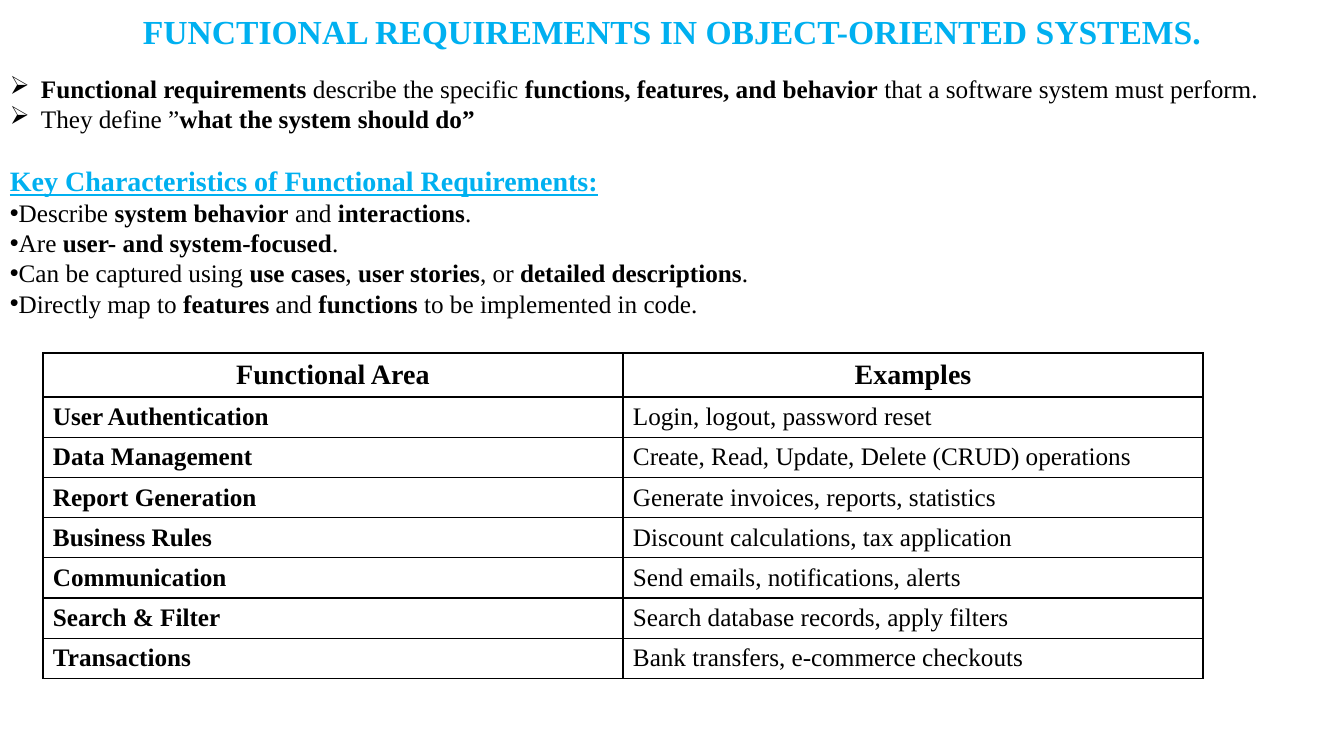
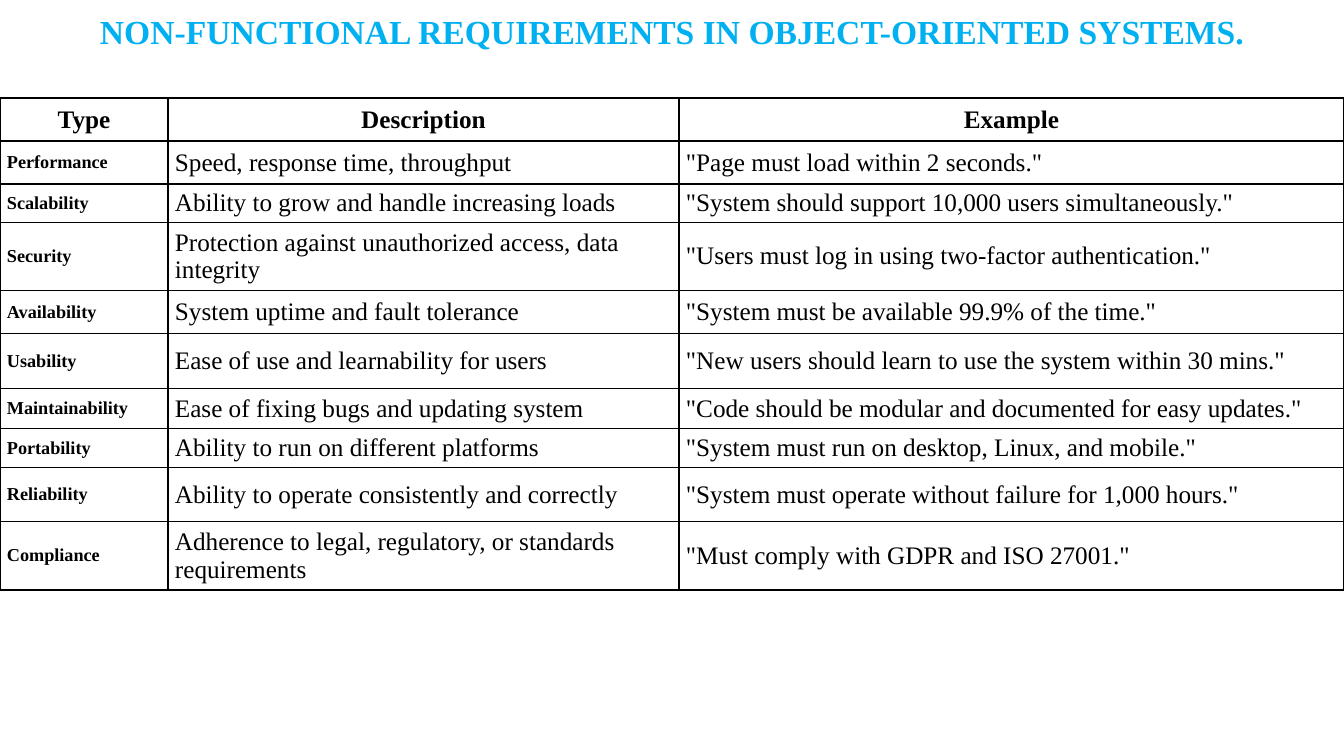
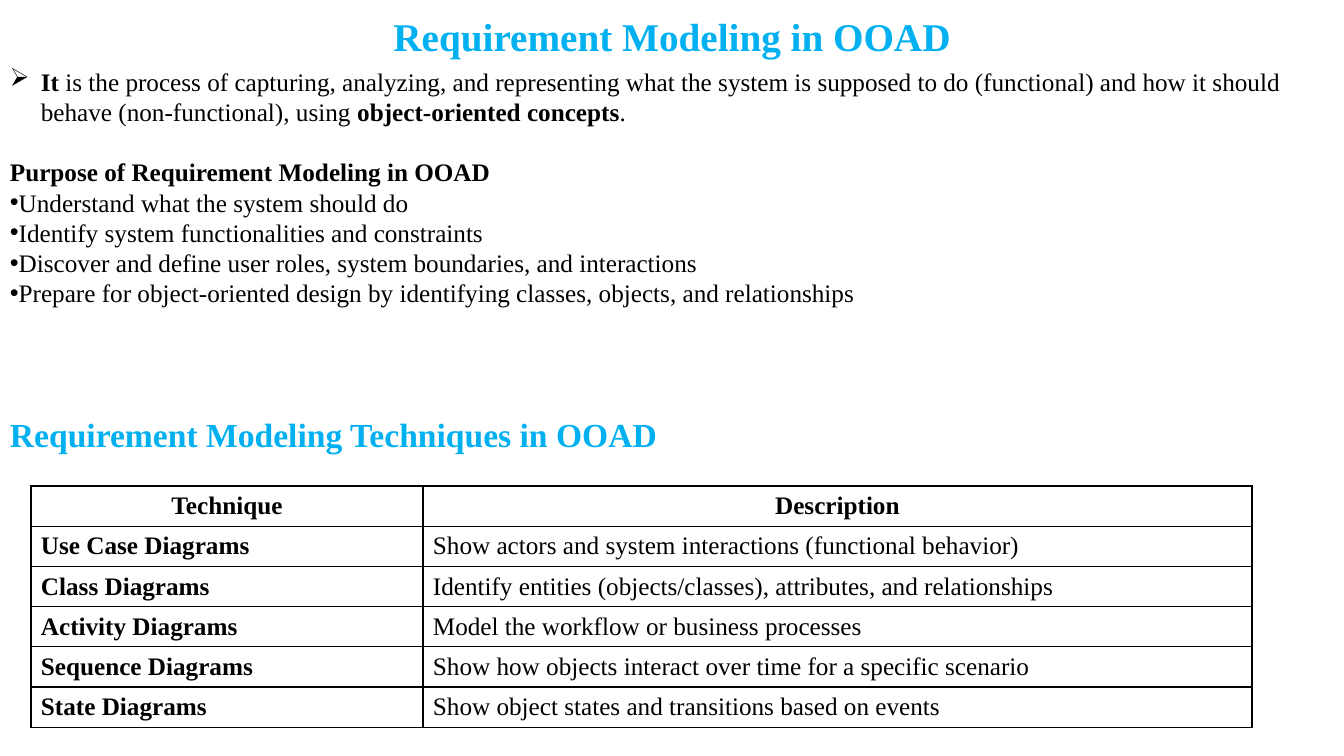
from dataclasses import dataclass
from typing import Any

from lxml import etree
from pptx import Presentation
from pptx.dml.color import RGBColor
from pptx.enum.text import MSO_ANCHOR, PP_ALIGN
from pptx.oxml.ns import qn
from pptx.util import Emu, Pt

MIDDLE = MSO_ANCHOR.MIDDLE
CENTER = PP_ALIGN.CENTER
LEFT = PP_ALIGN.LEFT

SLIDE_WIDTH, SLIDE_HEIGHT = 1344, 756
EMU_PER_PX = 12192000 / SLIDE_WIDTH
FONT = "Times New Roman"
ACCENT, INK = "00B0F0", "000000"
ARROW, DOT = "➢", "•"
ARROW_INDENT = 31
BLANK_LINE = 21.6


@dataclass(frozen=True)
class Line:
    text: str
    size: int = 18
    color: str = INK
    bullet: str = ""
    underline: bool = False
    align: Any = LEFT
    spacing: float | None = None
    before: float = 0


@dataclass(frozen=True)
class Grid:
    left: int
    top: int
    columns: list[int]
    heights: list[int]
    rows: list[list[str]]
    header_size: int = 18
    label_size: int = 18
    margin_x: int = 10
    margin_y: int = 5


def px(length: int) -> Emu:
    return Emu(round(length * EMU_PER_PX))


def rgb(color: str) -> RGBColor:
    return RGBColor.from_string(color)


def set_all(target: Any, values: dict[str, Any]) -> None:
    for key, value in values.items():
        setattr(target, key, value)


def add_bullet(paragraph: Any, mark: str) -> None:
    properties = paragraph._p.get_or_add_pPr()
    if mark == ARROW:
        properties.set("marL", str(px(ARROW_INDENT)))
        properties.set("indent", str(-px(ARROW_INDENT)))
    font = "Wingdings" if mark == ARROW else "Arial"
    etree.SubElement(properties, qn("a:buFont"), typeface=font)
    char = "Ø" if mark == ARROW else mark
    etree.SubElement(properties, qn("a:buChar"), char=char)


def write_line(paragraph: Any, line: Line) -> None:
    paragraph.alignment = line.align
    if line.spacing:
        paragraph.line_spacing = line.spacing
    if line.before:
        paragraph.space_before = Pt(line.before)
    if line.bullet:
        add_bullet(paragraph, line.bullet)
    for index, part in enumerate(line.text.split("**")):
        if part:
            run = paragraph.add_run()
            run.text = part
            set_all(run.font, {"name": FONT, "size": Pt(line.size), "bold": index % 2 == 1,
                               "underline": line.underline})
            run.font.color.rgb = rgb(line.color)


def add_text(slide: Any, left: int, top: int, width: int, height: int, lines: list[Line]) -> None:
    frame = slide.shapes.add_textbox(px(left), px(top), px(width), px(height)).text_frame
    frame.word_wrap = True
    for index, line in enumerate(lines):
        write_line(frame.add_paragraph() if index else frame.paragraphs[0], line)


def add_title(slide: Any, text: str, size: int, height: int) -> None:
    title = Line(f"**{text}**", size, ACCENT, align=CENTER, spacing=1.15)
    add_text(slide, 0, 0, SLIDE_WIDTH, height, [title])


def add_borders(cell: Any) -> None:
    properties = cell._tc.get_or_add_tcPr()
    for position, side in enumerate(("a:lnL", "a:lnR", "a:lnT", "a:lnB")):
        border = etree.Element(qn(side), w=str(Pt(1)))
        fill = etree.SubElement(border, qn("a:solidFill"))
        etree.SubElement(fill, qn("a:srgbClr"), val=INK)
        properties.insert(position, border)


def add_grid(slide: Any, grid: Grid) -> None:
    table = slide.shapes.add_table(
        len(grid.rows), len(grid.columns), px(grid.left), px(grid.top),
        px(sum(grid.columns)), px(sum(grid.heights))).table
    set_all(table, {"first_row": False, "horz_banding": False})
    for column, width in zip(table.columns, grid.columns):
        column.width = px(width)
    for row, height in zip(table.rows, grid.heights):
        row.height = px(height)
    margins = {"margin_left": px(grid.margin_x), "margin_right": px(grid.margin_x),
               "margin_top": px(grid.margin_y), "margin_bottom": px(grid.margin_y)}
    for r, texts in enumerate(grid.rows):
        for c, text in enumerate(texts):
            cell = table.cell(r, c)
            set_all(cell, {"vertical_anchor": MIDDLE, **margins})
            cell.fill.background()
            add_borders(cell)
            if r == 0:
                line = Line(f"**{text}**", grid.header_size, align=CENTER)
            elif c == 0:
                line = Line(f"**{text}**", grid.label_size)
            else:
                line = Line(text)
            write_line(cell.text_frame.paragraphs[0], line)


def functional_slide(slide: Any) -> None:
    add_title(slide, "FUNCTIONAL REQUIREMENTS IN OBJECT-ORIENTED SYSTEMS.", 24, 54)
    characteristics = [
        "Describe **system behavior** and **interactions**.",
        "Are **user- and system-focused**.",
        "Can be captured using **use cases**, **user stories**, or **detailed descriptions**.",
        "Directly map to **features** and **functions** to be implemented in code.",
    ]
    add_text(slide, 0, 68, SLIDE_WIDTH, 258, [
        Line("**Functional requirements** describe the specific **functions, features, and behavior** "
             "that a software system must perform.", bullet=ARROW),
        Line("They define ”**what the system should do”**", bullet=ARROW),
        Line("**Key Characteristics of Functional Requirements:**", 20, ACCENT,
             underline=True, before=BLANK_LINE),
        *(Line(text, bullet=DOT) for text in characteristics),
    ])
    add_grid(slide, Grid(43, 353, [580, 580], [44] + [40] * 7, [
        ["Functional Area", "Examples"],
        ["User Authentication", "Login, logout, password reset"],
        ["Data Management", "Create, Read, Update, Delete (CRUD) operations"],
        ["Report Generation", "Generate invoices, reports, statistics"],
        ["Business Rules", "Discount calculations, tax application"],
        ["Communication", "Send emails, notifications, alerts"],
        ["Search & Filter", "Search database records, apply filters"],
        ["Transactions", "Bank transfers, e-commerce checkouts"],
    ], header_size=20))


def non_functional_slide(slide: Any) -> None:
    add_title(slide, "NON-FUNCTIONAL REQUIREMENTS IN OBJECT-ORIENTED SYSTEMS.", 24, 54)
    add_grid(slide, Grid(0, 98, [168, 511, 665], [43, 43, 38, 68, 43, 55, 40, 39, 54, 68], [
        ["Type", "Description", "Example"],
        ["Performance", "Speed, response time, throughput", '"Page must load within 2 seconds."'],
        ["Scalability", "Ability to grow and handle increasing loads",
         '"System should support 10,000 users simultaneously."'],
        ["Security", "Protection against unauthorized access, data integrity",
         '"Users must log in using two-factor authentication."'],
        ["Availability", "System uptime and fault tolerance",
         '"System must be available 99.9% of the time."'],
        ["Usability", "Ease of use and learnability for users",
         '"New users should learn to use the system within 30 mins."'],
        ["Maintainability", "Ease of fixing bugs and updating system",
         '"Code should be modular and documented for easy updates."'],
        ["Portability", "Ability to run on different platforms",
         '"System must run on desktop, Linux, and mobile."'],
        ["Reliability", "Ability to operate consistently and correctly",
         '"System must operate without failure for 1,000 hours."'],
        ["Compliance", "Adherence to legal, regulatory, or standards requirements",
         '"Must comply with GDPR and ISO 27001."'],
    ], label_size=13, margin_x=7, margin_y=4))


def modeling_slide(slide: Any) -> None:
    add_title(slide, "Requirement Modeling in OOAD", 28, 61)
    purposes = [
        "Understand what the system should do",
        "Identify system functionalities and constraints",
        "Discover and define user roles, system boundaries, and interactions",
        "Prepare for object-oriented design by identifying classes, objects, and relationships",
    ]
    add_text(slide, 0, 61, SLIDE_WIDTH, 254, [
        Line("**It **is the process of capturing, analyzing, and representing what the system is supposed "
             "to do (functional) and how it should behave (non-functional), using "
             "**object-oriented concepts**.", bullet=ARROW),
        Line("**Purpose of Requirement Modeling in OOAD**", before=BLANK_LINE),
        *(Line(text, bullet=DOT) for text in purposes),
    ])
    add_grid(slide, Grid(31, 486, [392, 829], [40] * 6, [
        ["Technique", "Description"],
        ["Use Case Diagrams", "Show actors and system interactions (functional behavior)"],
        ["Class Diagrams", "Identify entities (objects/classes), attributes, and relationships"],
        ["Activity Diagrams", "Model the workflow or business processes"],
        ["Sequence Diagrams", "Show how objects interact over time for a specific scenario"],
        ["State Diagrams", "Show object states and transitions based on events"],
    ]))
    add_text(slide, 0, 409, 675, 50, [
        Line("**Requirement Modeling Techniques in OOAD**", 24, ACCENT)])


def main() -> None:
    deck = Presentation()
    set_all(deck, {"slide_width": px(SLIDE_WIDTH), "slide_height": px(SLIDE_HEIGHT)})
    for build in (functional_slide, non_functional_slide, modeling_slide):
        build(deck.slides.add_slide(deck.slide_layouts[6]))
    deck.save("out.pptx")


if __name__ == "__main__":
    main()
